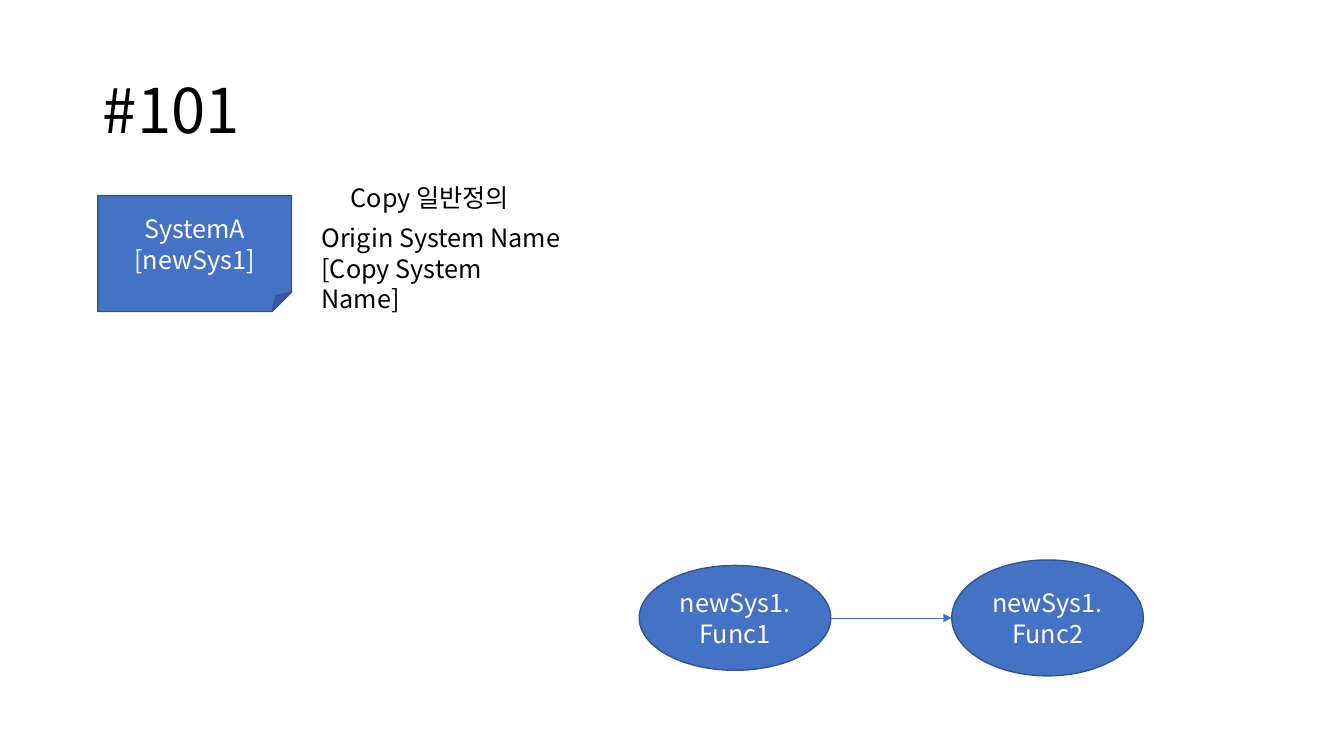
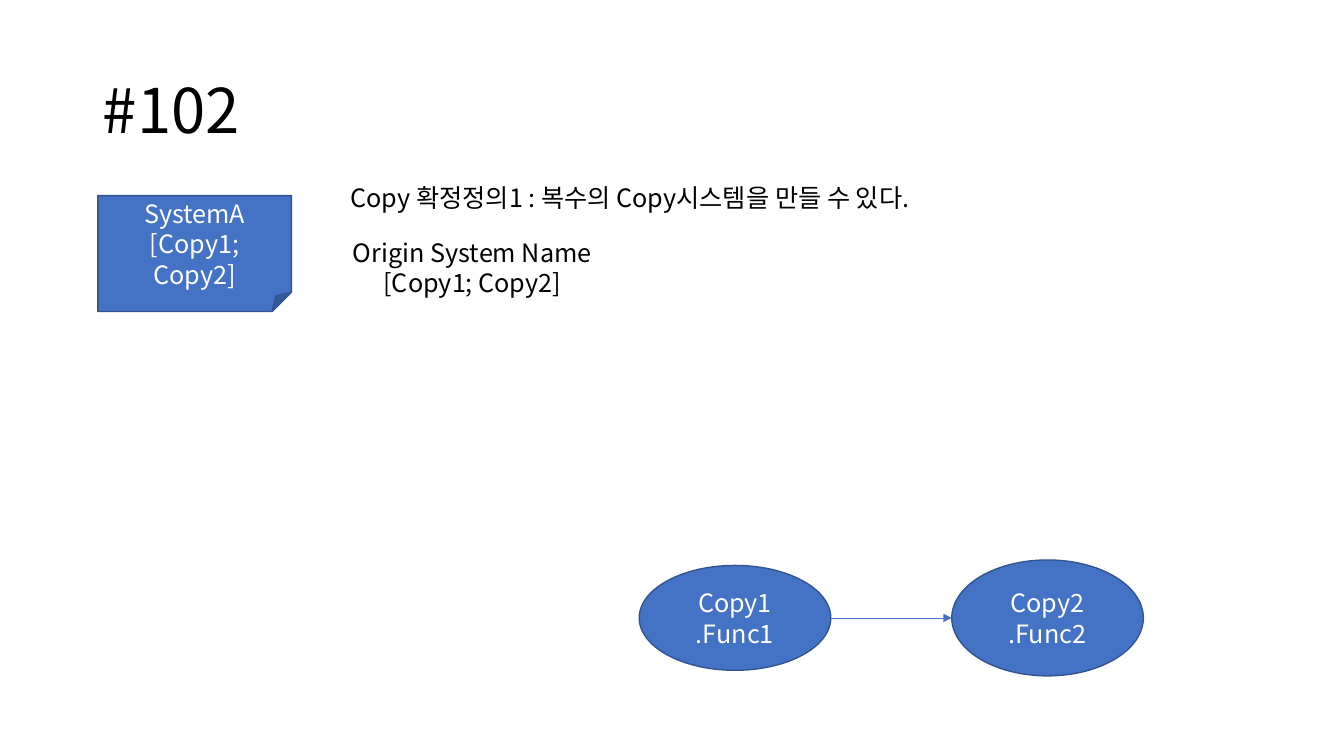
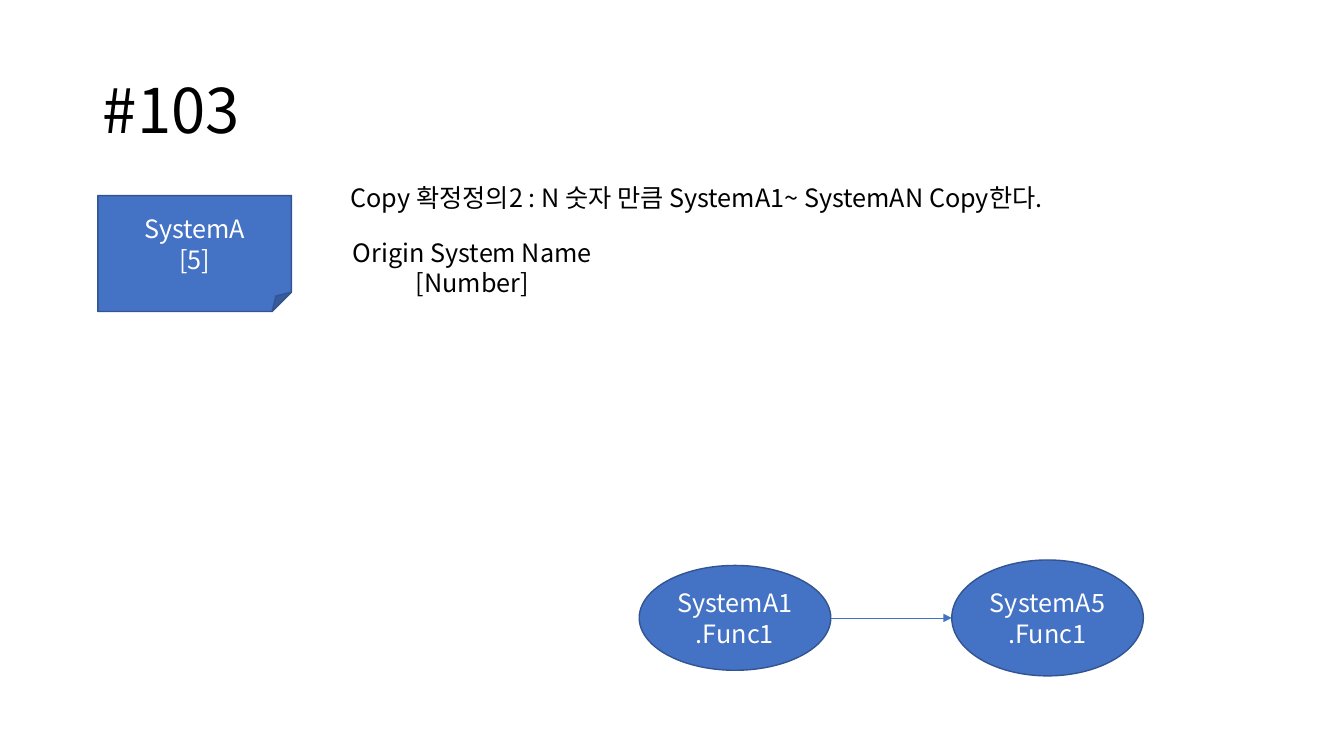
import dataclasses

import pptx
import pptx.util
from pptx.dml.color import RGBColor
from pptx.enum.shapes import MSO_CONNECTOR, MSO_SHAPE
from pptx.enum.text import MSO_ANCHOR, PP_ALIGN
from pptx.oxml.ns import qn
from pptx.oxml.xmlchemy import OxmlElement
from pptx.util import Inches


@dataclasses.dataclass(frozen=True)
class Theme:
    font: str = "Noto Sans CJK KR"
    ink: RGBColor = RGBColor(0x00, 0x00, 0x00)
    paper: RGBColor = RGBColor(0xFF, 0xFF, 0xFF)
    accent: RGBColor = RGBColor(0x44, 0x72, 0xC4)
    outline: RGBColor = RGBColor(0x32, 0x54, 0x91)
    title_size: float = 44
    body_size: float = 18
    outline_width: float = 1
    arrow_width: float = 0.5


class Deck:
    """Holds the theme and the slide being filled."""

    def __init__(self, theme):
        self.theme = theme
        self.presentation = pptx.Presentation()
        self.presentation.slide_width = Inches(13.33)
        self.presentation.slide_height = Inches(7.5)
        self.slide = None

    def set_text(self, frame, lines, size, color, align):
        frame.text = "\n".join(lines)
        frame.word_wrap = True
        for paragraph in frame.paragraphs:
            paragraph.alignment = align
            paragraph.font.name = self.theme.font
            paragraph.font.size = pptx.util.Pt(size)
            paragraph.font.color.rgb = color
            east_asian = OxmlElement("a:ea")
            east_asian.set("typeface", self.theme.font)
            defaults = paragraph._p.pPr.find(qn("a:defRPr"))
            defaults.find(qn("a:latin")).addnext(east_asian)

    def add_slide(self, heading):
        layout = self.presentation.slide_layouts[5]
        self.slide = self.presentation.slides.add_slide(layout)
        title = self.slide.shapes.title
        title.left, title.top = Inches(0.92), Inches(0.4)
        title.width, title.height = Inches(11.5), Inches(1.45)
        self.set_text(title.text_frame, [heading], self.theme.title_size,
                      self.theme.ink, PP_ALIGN.LEFT)
        title.text_frame.vertical_anchor = MSO_ANCHOR.MIDDLE
        title.text_frame.paragraphs[0].line_spacing = 0.9

    def add_node(self, preset, left, top, width, height, lines):
        node = self.slide.shapes.add_shape(
            preset, Inches(left), Inches(top), Inches(width), Inches(height))
        node.shadow.inherit = False
        node.fill.solid()
        node.fill.fore_color.rgb = self.theme.accent
        node.line.color.rgb = self.theme.outline
        node.line.width = pptx.util.Pt(self.theme.outline_width)
        self.set_text(node.text_frame, lines, self.theme.body_size,
                      self.theme.paper, PP_ALIGN.CENTER)
        node.text_frame.vertical_anchor = MSO_ANCHOR.MIDDLE

    def add_text(self, left, top, width, height, lines, align=PP_ALIGN.LEFT):
        box = self.slide.shapes.add_textbox(
            Inches(left), Inches(top), Inches(width), Inches(height))
        self.set_text(box.text_frame, lines, self.theme.body_size,
                      self.theme.ink, align)

    def add_arrow(self, start, end, y):
        arrow = self.slide.shapes.add_connector(
            MSO_CONNECTOR.STRAIGHT,
            Inches(start), Inches(y), Inches(end), Inches(y))
        arrow.line.color.rgb = self.theme.accent
        arrow.line.width = pptx.util.Pt(self.theme.arrow_width)
        head = OxmlElement("a:tailEnd")
        head.set("type", "triangle")
        properties = arrow._element.spPr
        properties.find(qn("a:ln")).append(head)
        properties.append(OxmlElement("a:effectLst"))

    def add_call(self, caller, callee):
        """Two functions on one axis, joined by an arrow."""
        axis, width, caller_left, callee_left = 6.13, 1.9, 6.34, 9.44
        for left, height, lines in ((caller_left, 1.04, caller),
                                    (callee_left, 1.15, callee)):
            self.add_node(MSO_SHAPE.OVAL, left, axis - height / 2,
                          width, height, lines)
        self.add_arrow(caller_left + width, callee_left, axis)

    def add_system(self, copies):
        self.add_node(MSO_SHAPE.FOLDED_CORNER, 0.97, 1.94, 1.92, 1.15,
                      ["SystemA", copies])

    def add_definition(self, statement, width, syntax, left=3.38, top=2.3,
                       align=PP_ALIGN.CENTER):
        self.add_text(left, top, 2.61, 0.71,
                      ["Origin System Name", syntax], align)
        self.add_text(3.38, 1.76, width, 0.4, [statement])


def main():
    deck = Deck(Theme())

    deck.add_slide("#101")
    deck.add_call(["newSys1.Func1"], ["newSys1.Func2"])
    deck.add_system("[newSys1]")
    deck.add_definition("Copy 일반정의", 1.89, "[Copy System Name]",
                        left=3.09, top=2.16, align=PP_ALIGN.LEFT)

    deck.add_slide("#102")
    deck.add_call(["Copy1", ".Func1"], ["Copy2", ".Func2"])
    deck.add_system("[Copy1; Copy2]")
    deck.add_definition("Copy 확정정의1 : 복수의 Copy시스템을 만들 수 있다.",
                        6.23, "[Copy1; Copy2]")

    deck.add_slide("#103")
    deck.add_call(["SystemA1.Func1"], ["SystemA5.Func1"])
    deck.add_system("[5]")
    deck.add_definition(
        "Copy 확정정의2 : N 숫자 만큼 SystemA1~ SystemAN Copy한다.",
        7.46, "[Number]")

    deck.presentation.save("out.pptx")


if __name__ == "__main__":
    main()
